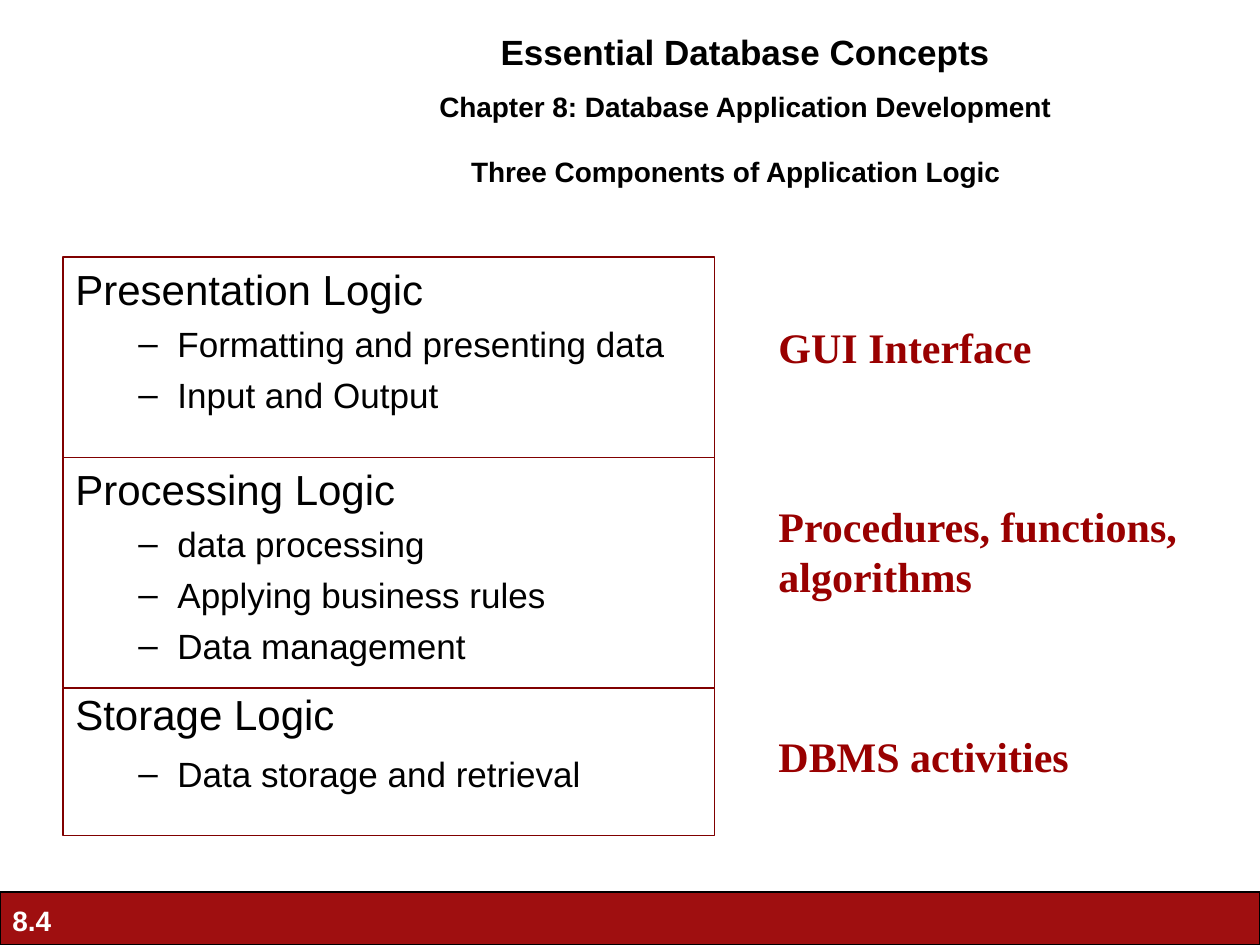
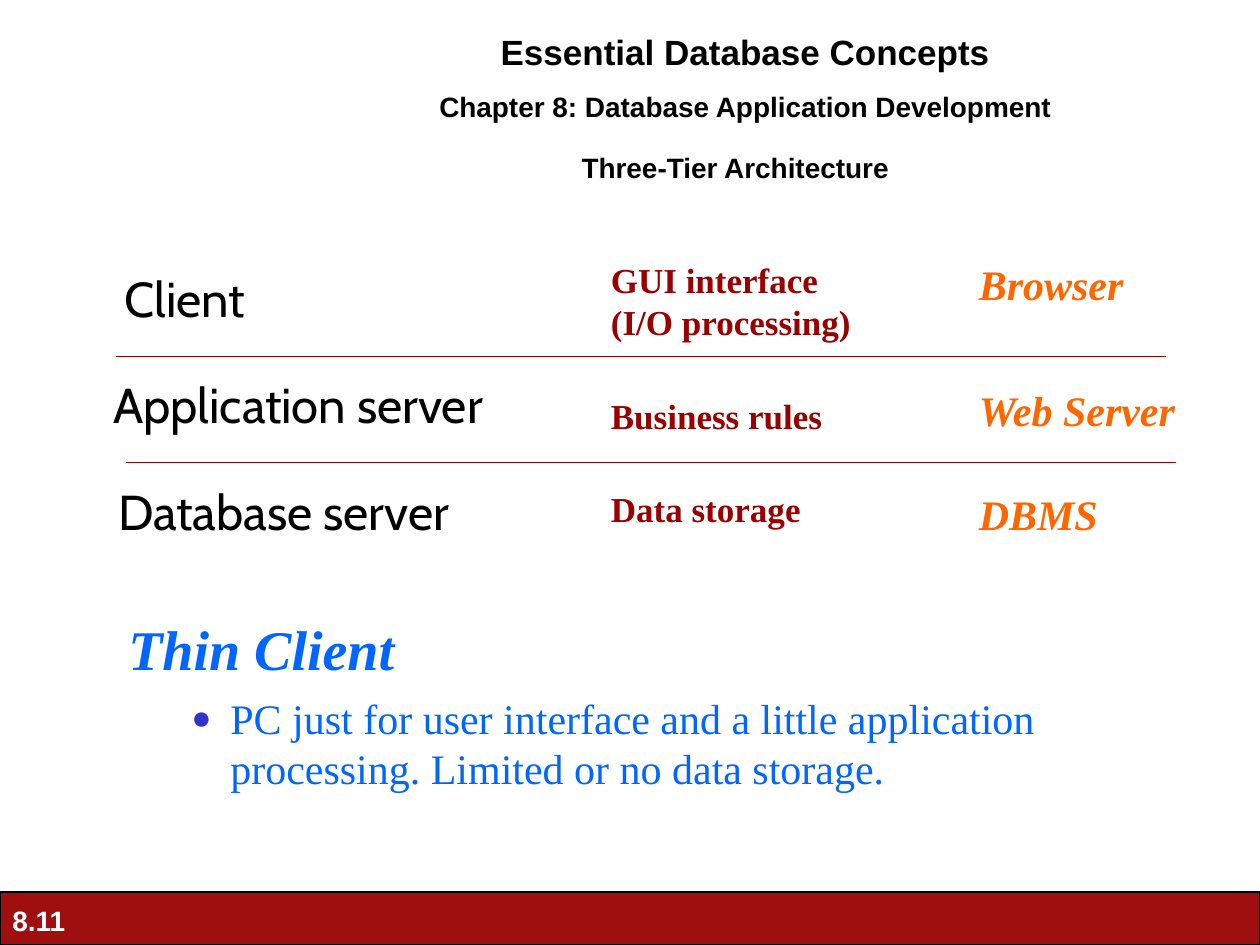
from dataclasses import dataclass, replace
from typing import Optional

from lxml import etree
from pptx import Presentation
from pptx.dml import color
from pptx.enum import shapes, text
from pptx.oxml import ns
from pptx.util import Inches, Pt

BLACK, WHITE, BAND = "000000", "FFFFFF", "9F0F10"
MAROON, RED, ORANGE = "800000", "990000", "FF6600"
BLUE, BULLET_BLUE = "0066FF", "3333CC"
SANS, SERIF, CABIN = "Arial", "Times New Roman", "Cabin"


@dataclass(frozen=True)
class Style:
    size: float
    font: str = SANS
    color: str = BLACK
    bold: bool = False
    italic: bool = False
    centred: bool = False
    before: float = 0
    spacing: Optional[float] = None
    margin: float = 0
    indent: float = 0
    bullet: str = ""
    bullet_color: str = BLACK
    bullet_size: int = 100


@dataclass(frozen=True)
class Line:
    text: str
    style: Style


@dataclass(frozen=True)
class Box:
    left: float
    top: float
    width: float
    height: float


@dataclass(frozen=True)
class LogicBlock:
    heading: str
    items: tuple[str, ...]
    height: float
    spacing: Optional[float] = None
    item_gap: float = 5


@dataclass(frozen=True)
class Label:
    lines: tuple[str, ...]
    box: Box
    style: Style
    wrap: bool = False


BOOK = Style(20, bold=True, centred=True)
CHAPTER = replace(BOOK, size=16, before=10)
TITLE = replace(BOOK, size=16)
PAGE_NUMBER = Style(16, color=WHITE, bold=True)
LOGIC_HEADING = Style(24, margin=0.38, indent=-0.38)
LOGIC_ITEM = Style(20, margin=0.81, indent=-0.31, bullet="–")
EXAMPLE = Style(24, SERIF, RED, bold=True)
ROLE = replace(EXAMPLE, size=20)
PRODUCT = replace(EXAMPLE, color=ORANGE, italic=True)
TIER = Style(28, CABIN)
INDENTED_TIER = replace(TIER, margin=0.5)
THIN_HEADING = Style(32, SERIF, BLUE, bold=True, italic=True, margin=0.38, indent=-0.38)
THIN_ITEM = Style(24, SERIF, BLUE, before=6, margin=0.81, indent=-0.31,
                  bullet="●", bullet_color=BULLET_BLUE, bullet_size=80)

LOGIC_BLOCKS = (
    LogicBlock("Presentation Logic", ("Formatting and presenting data", "Input and Output"), 1.59),
    LogicBlock("Processing Logic",
               ("data processing", "Applying business rules", "Data management"), 1.83),
    LogicBlock("Storage Logic", ("Data storage and retrieval",), 1.17, 0.9, 10),
)
EXAMPLES = (
    Label(("GUI Interface",), Box(6.08, 2.5, 2.21, 0.5), EXAMPLE),
    Label(("Procedures, functions,", "algorithms"), Box(6.08, 3.92, 3.4, 0.9), EXAMPLE),
    Label(("DBMS activities",), Box(6.08, 5.75, 2.6, 0.5), EXAMPLE),
)
TIERS = (
    Label(("Client",), Box(0.89, 2.08, 1.24, 0.57), TIER),
    Label(("Application server",), Box(0.3, 2.92, 3.99, 0.57), INDENTED_TIER),
    Label(("Database server",), Box(0.34, 3.77, 3.66, 0.57), INDENTED_TIER),
)
ROLES = (
    Label(("GUI interface", "(I/O processing)"), Box(4.75, 2, 2.67, 0.77), ROLE, True),
    Label(("Business rules",), Box(4.75, 3.08, 2.17, 0.44), ROLE, True),
    Label(("Data storage",), Box(4.75, 3.82, 2.17, 0.44), ROLE, True),
)
PRODUCTS = (
    Label(("Browser",), Box(7.67, 2, 1.4, 0.5), PRODUCT),
    Label(("Web Server",), Box(7.67, 3, 1.8, 0.5), PRODUCT),
    Label(("DBMS",), Box(7.67, 3.83, 1.2, 0.5), PRODUCT),
)


def rgb(value: str) -> color.RGBColor:
    return color.RGBColor.from_string(value)


def bounds(box: Box) -> tuple:
    return Inches(box.left), Inches(box.top), Inches(box.width), Inches(box.height)


def add_bullet(properties, style: Style) -> None:
    bullet_color = etree.SubElement(properties, ns.qn("a:buClr"))
    etree.SubElement(bullet_color, ns.qn("a:srgbClr"), val=style.bullet_color)
    etree.SubElement(properties, ns.qn("a:buSzPct"), val=str(style.bullet_size * 1000))
    etree.SubElement(properties, ns.qn("a:buFont"), typeface=SANS)
    etree.SubElement(properties, ns.qn("a:buChar"), char=style.bullet)


def format_paragraph(paragraph, style: Style) -> None:
    properties = paragraph._p.get_or_add_pPr()
    properties.set("marL", str(Inches(style.margin)))
    properties.set("indent", str(Inches(style.indent)))
    if style.bullet:
        paragraph.level = 1
        add_bullet(properties, style)
    paragraph.alignment = text.PP_ALIGN.CENTER if style.centred else text.PP_ALIGN.LEFT
    paragraph.space_before = Pt(style.before)
    if style.spacing:
        paragraph.line_spacing = style.spacing
    font = paragraph.font
    font.name, font.size = style.font, Pt(style.size)
    font.bold, font.italic = style.bold, style.italic
    font.color.rgb = rgb(style.color)


def write(shape, lines: list[Line], wrap: bool = True,
          anchor=text.MSO_ANCHOR.TOP) -> None:
    frame = shape.text_frame
    frame.word_wrap = wrap
    frame.vertical_anchor = anchor
    for index, line in enumerate(lines):
        paragraph = frame.add_paragraph() if index else frame.paragraphs[0]
        paragraph.text = line.text
        format_paragraph(paragraph, line.style)


def add_text(slide, box: Box, lines: list[Line], wrap: bool = True,
             anchor=text.MSO_ANCHOR.TOP) -> None:
    write(slide.shapes.add_textbox(*bounds(box)), lines, wrap, anchor)


def add_label(slide, label: Label) -> None:
    add_text(slide, label.box, [Line(line, label.style) for line in label.lines], label.wrap)


def add_rectangle(slide, box: Box, line: str, fill: str = ""):
    shape = slide.shapes.add_shape(shapes.MSO_SHAPE.RECTANGLE, *bounds(box))
    shape.shadow.inherit = False
    if fill:
        shape.fill.solid()
        shape.fill.fore_color.rgb = rgb(fill)
    else:
        shape.fill.background()
    shape.line.color.rgb = rgb(line)
    shape.line.width = Pt(0.75)
    return shape


def add_divider(slide, left: float, top: float, width: float) -> None:
    connector = slide.shapes.add_connector(
        shapes.MSO_CONNECTOR.STRAIGHT,
        Inches(left), Inches(top), Inches(left + width), Inches(top))
    connector.line.color.rgb = rgb(RED)
    connector.line.width = Pt(1)
    etree.SubElement(connector._element.spPr, ns.qn("a:effectLst"))


def add_base_slide(presentation, number: str, title: str, title_box: Box,
                   anchor=text.MSO_ANCHOR.TOP):
    slide = presentation.slides.add_slide(presentation.slide_layouts[6])
    add_rectangle(slide, Box(0, 7.08, 10, 0.42), BLACK, BAND)
    add_text(slide, Box(0, 7.12, 0.76, 0.37), [Line(number, PAGE_NUMBER)])
    add_text(slide, Box(2.33, 0.19, 7.17, 0.84), [
        Line("Essential Database Concepts", BOOK),
        Line("Chapter 8: Database Application Development", CHAPTER),
    ])
    add_text(slide, title_box, [Line(title, TITLE)], anchor=anchor)
    return slide


def build_components(presentation) -> None:
    slide = add_base_slide(presentation, "8.4", "Three Components of Application Logic",
                           Box(3.25, 1.18, 5.18, 0.33))
    for label in EXAMPLES:
        add_label(slide, label)
    top = 2.04
    for block in LOGIC_BLOCKS:
        heading = replace(LOGIC_HEADING, spacing=block.spacing)
        item = replace(LOGIC_ITEM, spacing=block.spacing, before=block.item_gap)
        rectangle = add_rectangle(slide, Box(0.5, top, 5.17, block.height), MAROON)
        write(rectangle, [Line(block.heading, heading)]
              + [Line(entry, item) for entry in block.items])
        top += block.height


def build_architecture(presentation) -> None:
    slide = add_base_slide(presentation, "8.11", "Three-Tier Architecture",
                           Box(3.67, 1.08, 4.33, 0.5), text.MSO_ANCHOR.MIDDLE)
    add_text(slide, Box(0.92, 4.83, 8.5, 2), [
        Line("Thin Client", THIN_HEADING),
        Line("PC just for user interface and a little application processing. "
             "Limited or no data storage.", THIN_ITEM),
    ])
    for label in ROLES + PRODUCTS + TIERS:
        add_label(slide, label)
    for left, top in ((0.92, 2.83), (1, 3.67)):
        add_divider(slide, left, top, 8.33)


def main() -> None:
    presentation = Presentation()
    presentation.slide_width, presentation.slide_height = Inches(10), Inches(7.5)
    build_components(presentation)
    build_architecture(presentation)
    presentation.save("out.pptx")


if __name__ == "__main__":
    main()
